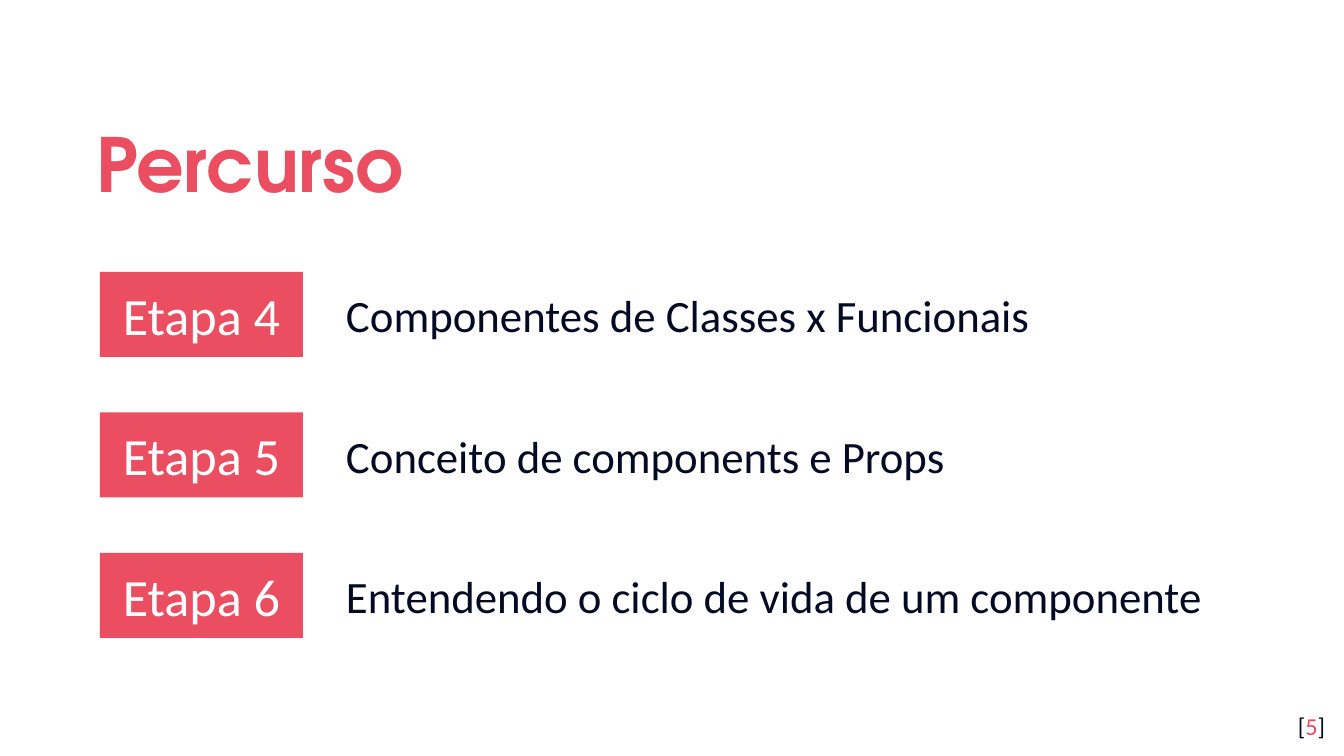
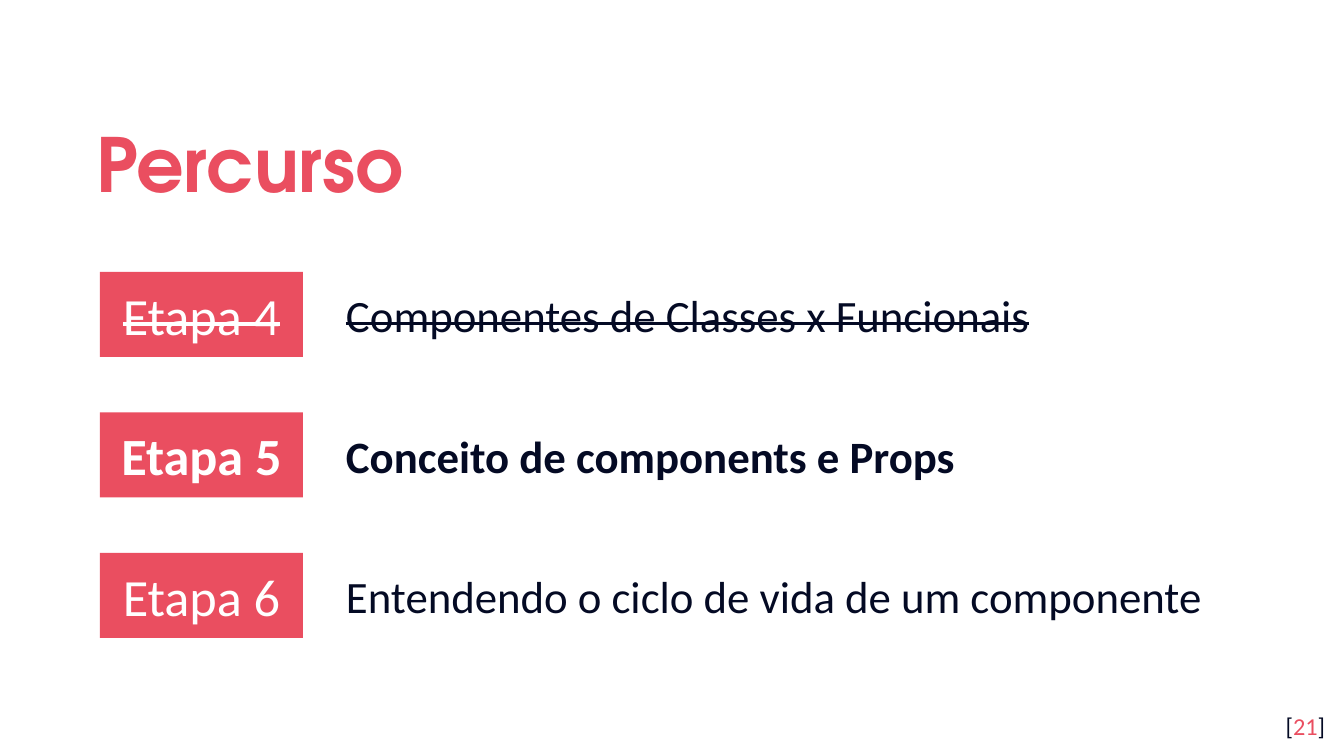
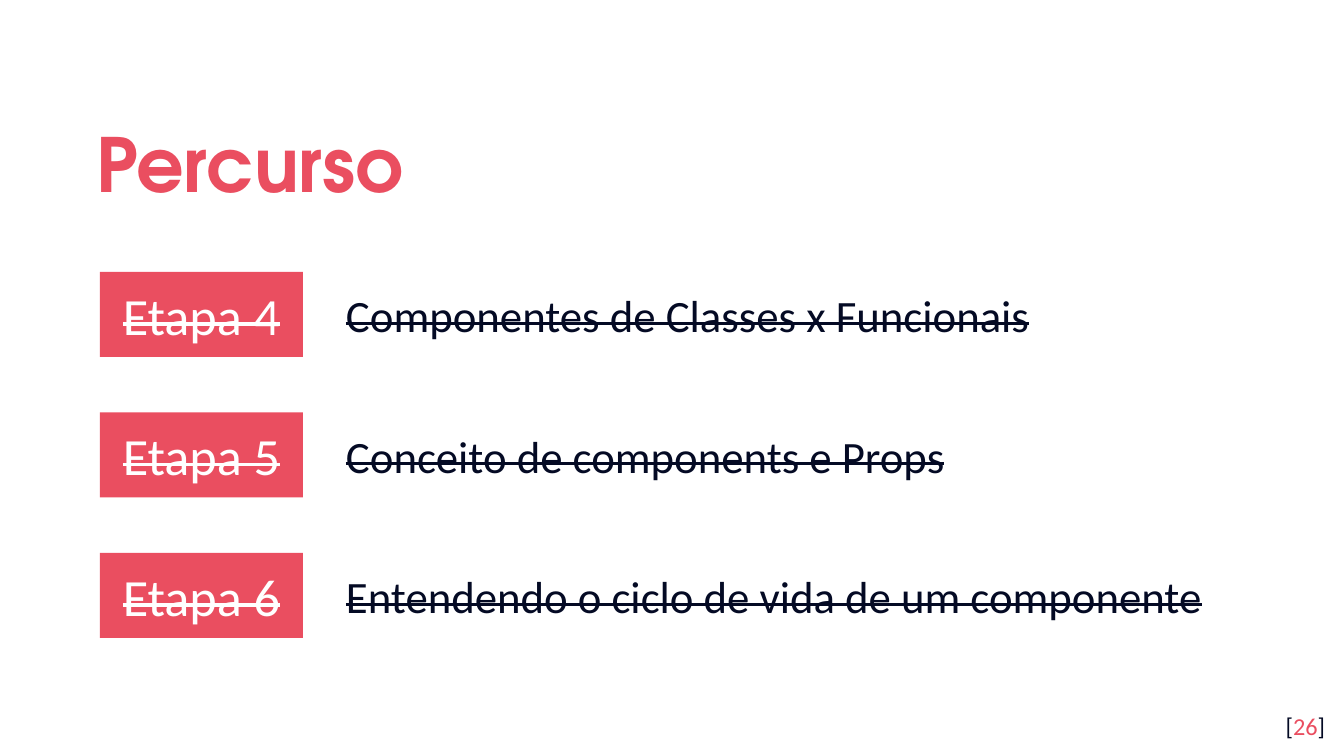
from collections import namedtuple
from dataclasses import dataclass
from enum import Enum

from pptx import Presentation
from pptx.dml.color import RGBColor
from pptx.enum.shapes import MSO_SHAPE as Shape
from pptx.enum.text import MSO_ANCHOR as Anchor, MSO_AUTO_SIZE as AutoSize, PP_ALIGN as Align
from pptx.util import Emu, Pt

EMU_PER_PX = 914400 / 134.4
TITLE_ONLY_LAYOUT = 5

Box = namedtuple("Box", "left top width height")


@dataclass(frozen=True)
class Theme:
    accent: str = "EA4E60"
    ink: str = "040A24"
    paper: str = "FFFFFF"
    title_font: str = "TeX Gyre Adventor"
    body_font: str = "Calibri"
    title_size: int = 40
    label_size: int = 28
    topic_size: int = 24
    page_size: int = 13
    title_spacing: float = 1.15
    inset: int = 13
    slim_inset: int = 7


class State(Enum):
    PENDING = {}
    CURRENT = {"bold": True}
    DONE = {"strike": True}


THEME = Theme()
SLIDE_SIZE = (1344, 756)
TITLE_BOX = Box(83, 94, 1089, 124)
STEPS_BOX = Box(100, 272, 1140, 366)
PAGE_BOX = Box(1257, 698, 81, 58)
LABEL_WIDTH, LABEL_HEIGHT = 203, 85
TOPIC_OFFSET, TOPIC_HEIGHT, TOPIC_INDENT = 233, 67, 67

STEPS = [
    ("Etapa 4", "Componentes de Classes x Funcionais"),
    ("Etapa 5", "Conceito de components e Props"),
    ("Etapa 6", "Entendendo o ciclo de vida de um componente"),
]
SLIDES = [
    (5, [State.PENDING, State.PENDING, State.PENDING]),
    (21, [State.DONE, State.CURRENT, State.PENDING]),
    (26, [State.DONE, State.DONE, State.DONE]),
]


def px(length):
    return Emu(round(length * EMU_PER_PX))


def place(shape, box):
    shape.left, shape.top, shape.width, shape.height = map(px, box)


def prepare_frame(shape, anchor, vertical_inset=THEME.inset):
    frame = shape.text_frame
    frame.word_wrap = True
    frame.auto_size = AutoSize.NONE
    frame.vertical_anchor = anchor
    frame.margin_left = frame.margin_right = px(THEME.inset)
    frame.margin_top = frame.margin_bottom = px(vertical_inset)
    return frame.paragraphs[0]


def set_hanging_indent(paragraph, length):
    properties = paragraph._p.get_or_add_pPr()
    properties.set("marL", str(px(length)))
    properties.set("indent", str(px(-length)))


def write(paragraph, text, size, color=THEME.ink, font=THEME.body_font, bold=False, strike=False):
    run = paragraph.add_run()
    run.text = text
    run.font.name = font
    run.font.size = Pt(size)
    run.font.bold = bold
    run.font.color.rgb = RGBColor.from_string(color)
    if strike:
        run._r.get_or_add_rPr().set("strike", "sngStrike")


def add_title(slide, box, text):
    title = slide.shapes.title
    place(title, box)
    paragraph = prepare_frame(title, Anchor.MIDDLE)
    paragraph.alignment = Align.LEFT
    paragraph.line_spacing = THEME.title_spacing
    write(paragraph, text, size=THEME.title_size, color=THEME.accent, font=THEME.title_font, bold=True)


def add_label(slide, box, text, state):
    label = slide.shapes.add_shape(Shape.RECTANGLE, *map(px, box))
    label.shadow.inherit = False
    label.fill.solid()
    label.fill.fore_color.rgb = RGBColor.from_string(THEME.accent)
    label.line.fill.background()
    paragraph = prepare_frame(label, Anchor.MIDDLE)
    paragraph.alignment = Align.CENTER
    paragraph.level = 1
    set_hanging_indent(paragraph, 0)
    write(paragraph, text, size=THEME.label_size, color=THEME.paper, **state.value)


def add_topic(slide, box, text, state):
    topic = slide.shapes.add_textbox(*map(px, box))
    paragraph = prepare_frame(topic, Anchor.TOP, THEME.slim_inset)
    set_hanging_indent(paragraph, TOPIC_INDENT)
    write(paragraph, text, size=THEME.topic_size, **state.value)


def add_steps(slide, box, states):
    pitch = (box.height - LABEL_HEIGHT) / (len(STEPS) - 1)
    topic_drop = (LABEL_HEIGHT - TOPIC_HEIGHT) // 2
    for index, ((label, topic), state) in enumerate(zip(STEPS, states)):
        top = box.top + index * pitch
        add_label(slide, Box(box.left, top, LABEL_WIDTH, LABEL_HEIGHT), label, state)
        topic_box = Box(box.left + TOPIC_OFFSET, top + topic_drop, box.width - TOPIC_OFFSET, TOPIC_HEIGHT)
        add_topic(slide, topic_box, topic, state)


def add_page_number(slide, box, number):
    page = slide.shapes.add_textbox(*map(px, box))
    paragraph = prepare_frame(page, Anchor.TOP)
    paragraph.alignment = Align.RIGHT
    for text, color in (("[", THEME.ink), (str(number), THEME.accent), ("]", THEME.ink)):
        write(paragraph, text, size=THEME.page_size, color=color)


def add_route_slide(presentation, number, states):
    slide = presentation.slides.add_slide(presentation.slide_layouts[TITLE_ONLY_LAYOUT])
    slide.background.fill.solid()
    slide.background.fill.fore_color.rgb = RGBColor.from_string(THEME.paper)
    add_title(slide, TITLE_BOX, "Percurso")
    add_steps(slide, STEPS_BOX, states)
    add_page_number(slide, PAGE_BOX, number)


def main():
    presentation = Presentation()
    presentation.slide_width, presentation.slide_height = map(px, SLIDE_SIZE)
    for number, states in SLIDES:
        add_route_slide(presentation, number, states)
    presentation.save("out.pptx")


if __name__ == "__main__":
    main()
